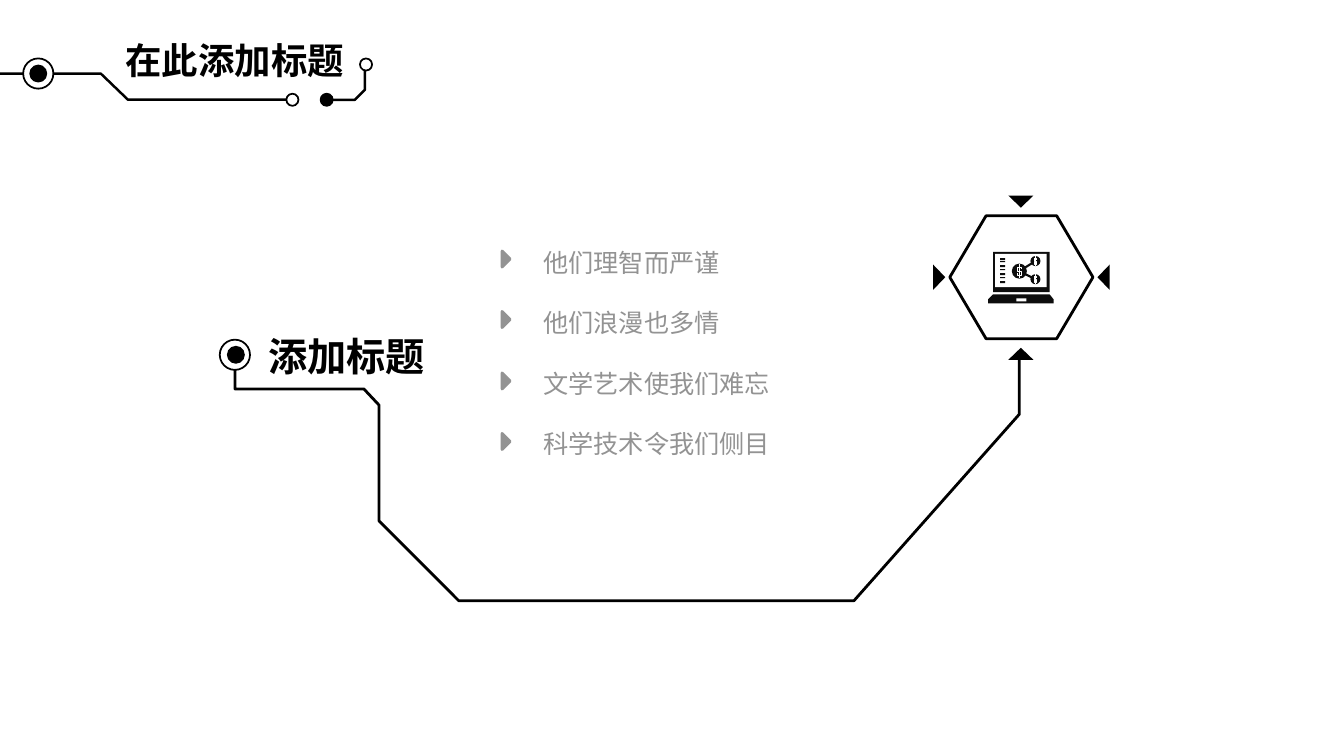
"""Build a slide with a circuit-style heading, a four-item list and a laptop in a hexagon."""
from lxml.etree import SubElement
from pptx import Presentation
from pptx.dml.color import RGBColor
from pptx.enum.shapes import MSO_SHAPE as Preset
from pptx.enum.text import MSO_AUTO_SIZE as Fit, PP_ALIGN as Align
from pptx.oxml.ns import qn
from pptx.util import Pt

PX = 9144
BLACK, WHITE, INK, GRAY = "000000", "FFFFFF", "0D0D0D", "939393"
FONT = "Noto Sans CJK SC"
color = RGBColor.from_string

deck = Presentation()
deck.slide_width, deck.slide_height = 1333 * PX, 750 * PX
slide = deck.slides.add_slide(deck.slide_layouts[6])


def paint(shape, fill=None, line=None, width=1.25):
    shape.shadow.inherit = False
    if fill:
        shape.fill.solid()
        shape.fill.fore_color.rgb = color(fill)
    else:
        shape.fill.background()
    if line:
        shape.line.color.rgb = color(line)
        shape.line.width = Pt(width)
    else:
        shape.line.fill.background()
    return shape


def add(preset, box, *style):
    return paint(slide.shapes.add_shape(preset, *[v * PX for v in box]), *style)


pointers = [(1000, 345, 0), (1000, 194, 180), (919, 269, 90), (1082, 269, 270)]
for x, y, turn in pointers:
    add(Preset.ISOSCELES_TRIANGLE, (x, y, 25, 12), BLACK).rotation = turn

heading_trace = [(-2, 73), (100, 73), (127, 99), (284, 99)]
heading_hook = [(362, 67), (362, 89), (352, 99), (329, 99)]
main_trace = [(1011, 356), (1011, 411), (847, 596), (455, 596), (376, 517),
              (376, 402), (361, 386), (233, 386), (233, 357)]
for trace, width in [(heading_trace, 1.75), (heading_hook, 1.75), (main_trace, 2)]:
    route = slide.shapes.build_freeform(*trace[0], scale=PX)
    route.add_line_segments(trace[1:], close=False)
    paint(route.convert_to_shape(), None, BLACK, width)

nodes = [(23, 58, 30, WHITE), (30, 65, 16, BLACK), (284, 93, 12, WHITE),
         (318, 93, 12, BLACK), (357, 58, 12, WHITE),
         (218, 337, 30, WHITE), (226, 344, 16, BLACK)]
for x, y, size, fill in nodes:
    add(Preset.OVAL, (x, y, size, size), fill, BLACK)

hexagon = add(Preset.HEXAGON, (942, 214, 142, 122), None, BLACK, 2)
hexagon.adjustments[0], hexagon.adjustments[1] = 0.295, 1.155

keyboard = [(985, 292), (1041, 292), (1045, 297), (1045, 301), (980, 301), (980, 297)]
base = slide.shapes.build_freeform(*keyboard[0], scale=PX)
base.add_line_segments(keyboard[1:])
paint(base.convert_to_shape(), INK)
add(Preset.RECTANGLE, (1008, 296, 10, 3), WHITE)
add(Preset.RECTANGLE, (985, 250, 56, 40), INK)
add(Preset.RECTANGLE, (987, 252, 51, 33), WHITE)
for row in range(7):
    add(Preset.RECTANGLE, (992, 256 + 23 * row // 6, 5, 2 - row % 2), INK)

coin_link = slide.shapes.build_freeform(1027, 259, scale=PX)
coin_link.add_line_segments([(1011, 269), (1027, 277)], close=False)
paint(coin_link.convert_to_shape(), None, INK, 1.5)
dollar = [(2, -2), (2, -4), (-2, -4), (-2, 0), (2, 0), (2, 4), (-2, 4), (-2, 2)]
for x, y, size in [(1011, 269, 15), (1027, 259, 10), (1027, 277, 10)]:
    add(Preset.OVAL, (x - size / 2, y - size / 2, size, size), INK)
    sign = [(x + dx * size / 15, y + dy * size / 15) for dx, dy in dollar]
    curve = slide.shapes.build_freeform(*sign[0], scale=PX)
    curve.add_line_segments(sign[1:], close=False)
    curve.move_to(x, y - size / 2)
    curve.add_line_segments([(x, y + size / 2)], close=False)
    paint(curve.convert_to_shape(), None, WHITE, 0.6)

items = ["他们理智而严谨", "他们浪漫也多情", "文学艺术使我们难忘", "科学技术令我们侧目"]
labels = [("在此添加标题", (110, 33, 246, 54), 26, BLACK, Align.CENTER),
          ("添加标题", (256, 325, 222, 57), 28, BLACK, Align.LEFT)]
for row, item in enumerate(items):
    labels.append((item, (529, 240 + 60 * row, 259, 40), 18, GRAY, Align.LEFT))
    marker = (494, 253 + 121 * row // 2, 16, 8)
    add(Preset.ISOSCELES_TRIANGLE, marker, GRAY, GRAY, 2).rotation = 90

for text, box, size, ink, align in labels:
    frame = slide.shapes.add_textbox(*[v * PX for v in box]).text_frame
    frame.word_wrap = True
    frame.auto_size = Fit.SHAPE_TO_FIT_TEXT
    frame.text = text
    paragraph = frame.paragraphs[0]
    paragraph.alignment = align
    run = paragraph.runs[0]
    run.font.size, run.font.bold, run.font.name = Pt(size), ink == BLACK, FONT
    run.font.color.rgb = color(ink)
    SubElement(run.font._element, qn("a:ea"), typeface=FONT)

deck.save("out.pptx")
